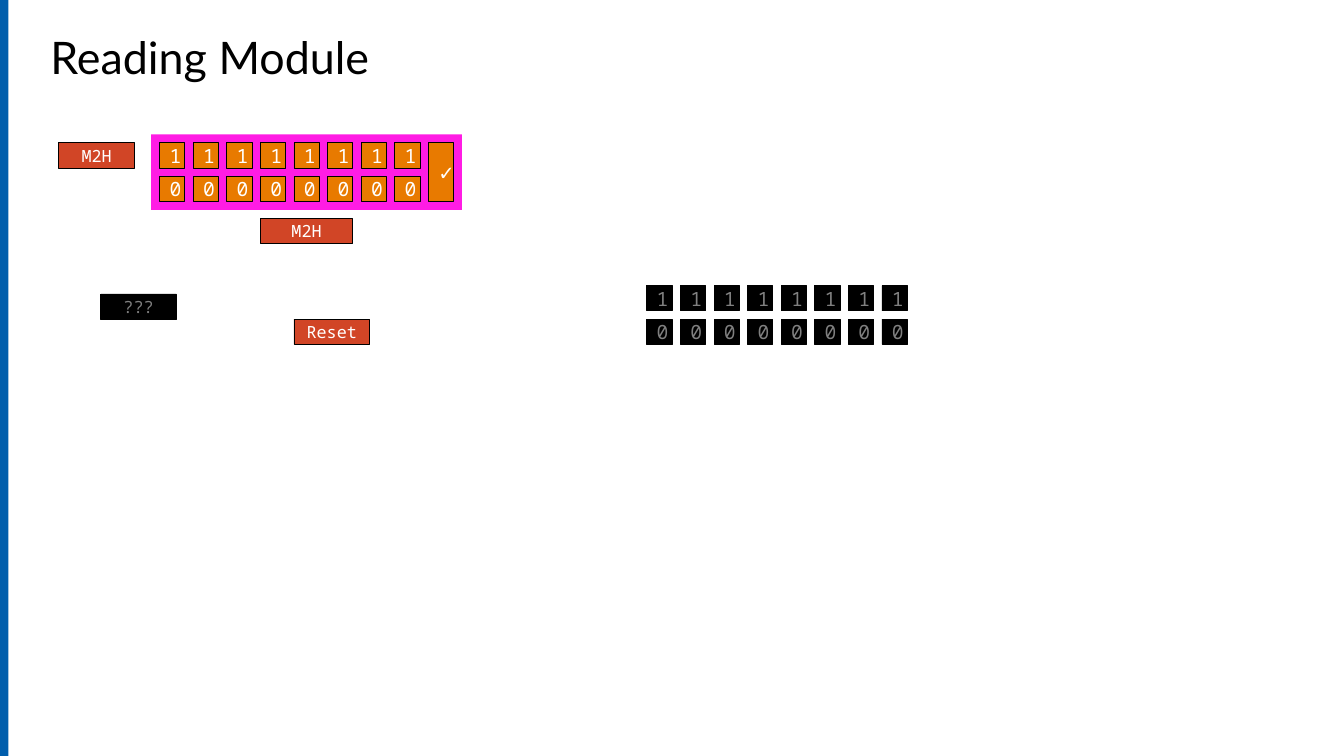
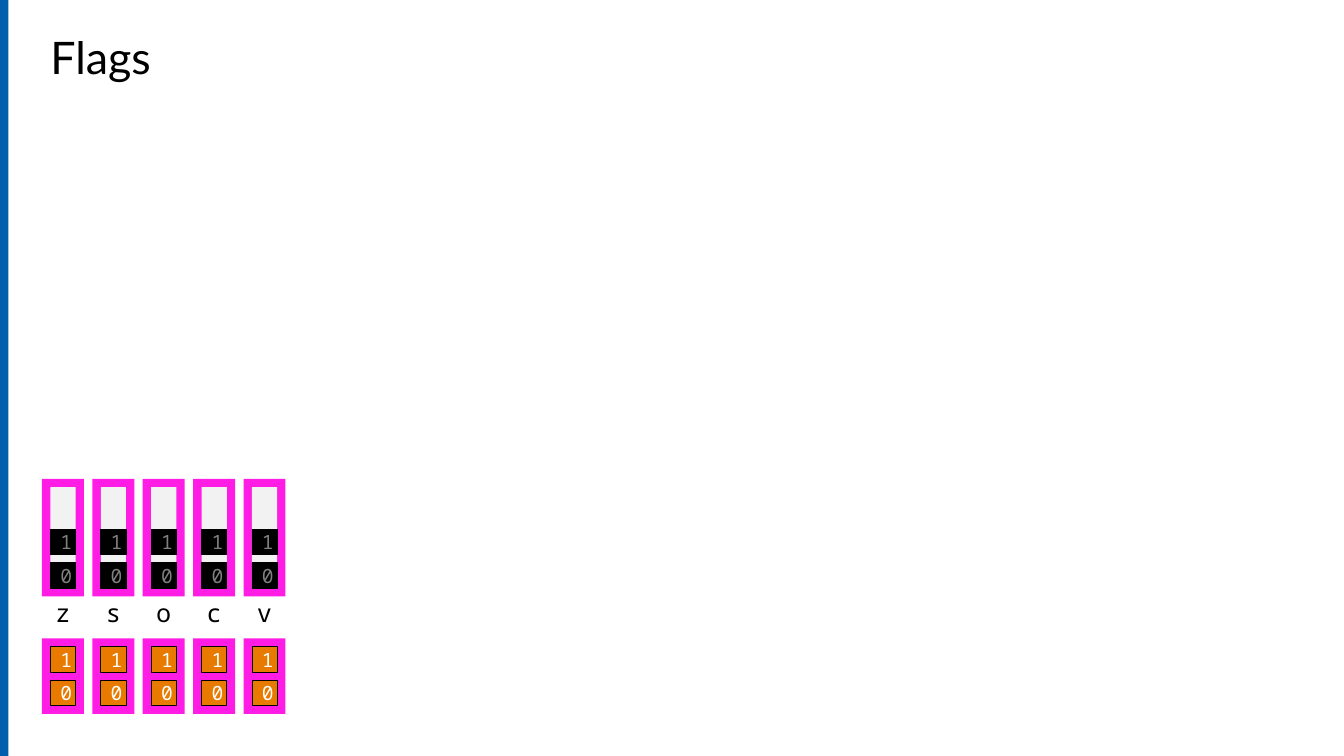
from pptx import Presentation
from pptx.dml.color import RGBColor
from pptx.enum.shapes import MSO_SHAPE
from pptx.enum.text import MSO_ANCHOR, MSO_AUTO_SIZE, PP_ALIGN
from pptx.util import Pt

RECT = MSO_SHAPE.RECTANGLE
MIDDLE = MSO_ANCHOR.MIDDLE
GROW = MSO_AUTO_SIZE.SHAPE_TO_FIT_TEXT
LEFT, CENTER = PP_ALIGN.LEFT, PP_ALIGN.CENTER

BLUE = RGBColor(0x00, 0x5E, 0xAC)
MAGENTA = RGBColor(0xFF, 0x1C, 0xE4)
ORANGE = RGBColor(0xE8, 0x7A, 0x00)
RED = RGBColor(0xD1, 0x45, 0x26)
BLACK = RGBColor(0x00, 0x00, 0x00)
WHITE = RGBColor(0xFF, 0xFF, 0xFF)
GRAY = RGBColor(0x80, 0x80, 0x80)
PALE = RGBColor(0xF2, 0xF2, 0xF2)

TITLE_FONT, MONO = "Lato", "Noto Sans Mono"
PX = 9525
WIDTH, HEIGHT = 1280, 720
GAP = 8
KEY = 24
KEY_STEP = KEY + GAP
FLAG_W = KEY + 2 * GAP
FLAG_STEP = FLAG_W + GAP

LIT = (ORANGE, WHITE)
DARK = (BLACK, GRAY)
ACTION = (RED, WHITE)

BITS = "10"
BIT_COUNT = 8
BUTTONS = [
    ("M2H", 56, 136, 72, ACTION, False),
    ("M2H", 248, 208, 88, ACTION, False),
    ("???", 96, 280, 72, DARK, True),
    ("Reset", 280, 304, 72, ACTION, False),
]
FLAGS = "zsocv"


def px(*lengths):
    return [n * PX for n in lengths]


def style_text(shape, text, size, color, font=MONO, align=CENTER, wrap=True):
    tf = shape.text_frame
    tf.word_wrap = wrap
    p = tf.paragraphs[0]
    p.text = text
    p.alignment = align
    p.font.name = font
    p.font.size = Pt(size)
    p.font.color.rgb = color
    return tf


def add_panel(s, x, y, w, h, fill):
    sp = s.shapes.add_shape(RECT, *px(x, y, w, h))
    sp.shadow.inherit = False
    sp.fill.solid()
    sp.fill.fore_color.rgb = fill
    sp.line.fill.background()
    return sp


def add_key(s, text, x, y, look, w=KEY, h=KEY, size=14, wrap=True):
    fill, color = look
    sp = add_panel(s, x, y, w, h, fill)
    sp.line.color.rgb = BLACK
    sp.line.width = Pt(0.5)
    style_text(sp, text, size, color, wrap=wrap).vertical_anchor = MIDDLE


def add_bit_column(s, x, y, look):
    for row, bit in enumerate(BITS):
        add_key(s, bit, x, y + row * KEY_STEP, look)


def add_slide(prs, title):
    s = prs.slides.add_slide(prs.slide_layouts[6])
    add_panel(s, 0, 0, GAP, HEIGHT, BLUE)
    box = s.shapes.add_textbox(*px(48, 24, 576, 61))
    tf = style_text(box, title, 32, BLACK, TITLE_FONT, LEFT)
    tf.margin_left = tf.margin_right = 0
    tf.auto_size = GROW
    return s


def build_reading_module(prs):
    s = add_slide(prs, "Reading Module")
    add_panel(s, 144, 128, 296, 72, MAGENTA)
    for x, y, look in [(152, 136, LIT), (616, 272, DARK)]:
        for i in range(BIT_COUNT):
            add_bit_column(s, x + i * KEY_STEP, y, look)
    add_key(s, "✓", 152 + BIT_COUNT * KEY_STEP, 136, LIT, h=KEY + KEY_STEP)
    for text, x, y, w, look, wrap in BUTTONS:
        add_key(s, text, x, y, look, w=w, size=12, wrap=wrap)


def build_flags(prs):
    s = add_slide(prs, "Flags")
    for i, flag in enumerate(FLAGS):
        x = 40 + i * FLAG_STEP
        add_panel(s, x, 456, FLAG_W, 112, MAGENTA)
        add_panel(s, x + GAP, 464, KEY, 96, PALE)
        add_bit_column(s, x + GAP, 504, DARK)
        add_panel(s, x, 608, FLAG_W, 72, MAGENTA)
        add_bit_column(s, x + GAP, 616, LIT)
        label = s.shapes.add_textbox(*px(x, 564, FLAG_W, 38))
        tf = style_text(label, flag, 18, BLACK)
        tf.vertical_anchor = MIDDLE
        tf.auto_size = GROW


def main():
    prs = Presentation()
    prs.slide_width, prs.slide_height = px(WIDTH, HEIGHT)
    build_reading_module(prs)
    build_flags(prs)
    prs.save("out.pptx")


if __name__ == "__main__":
    main()
